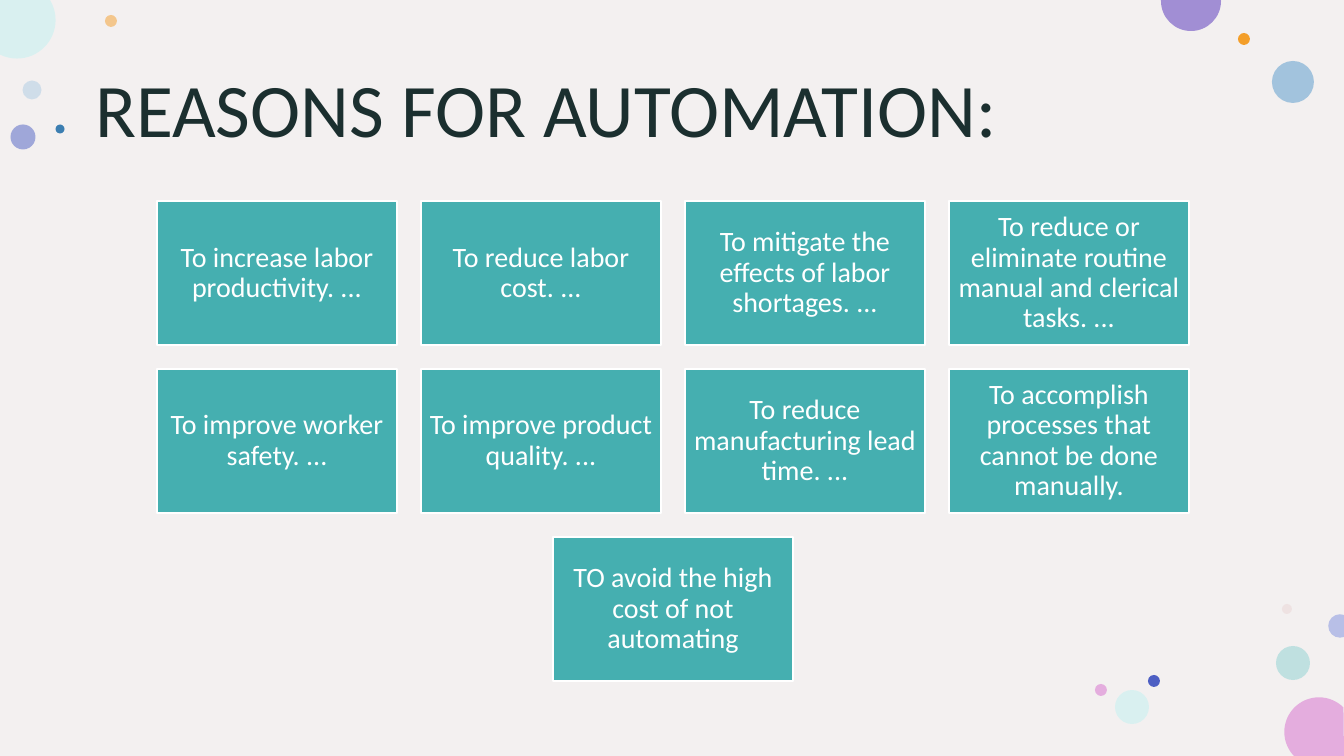
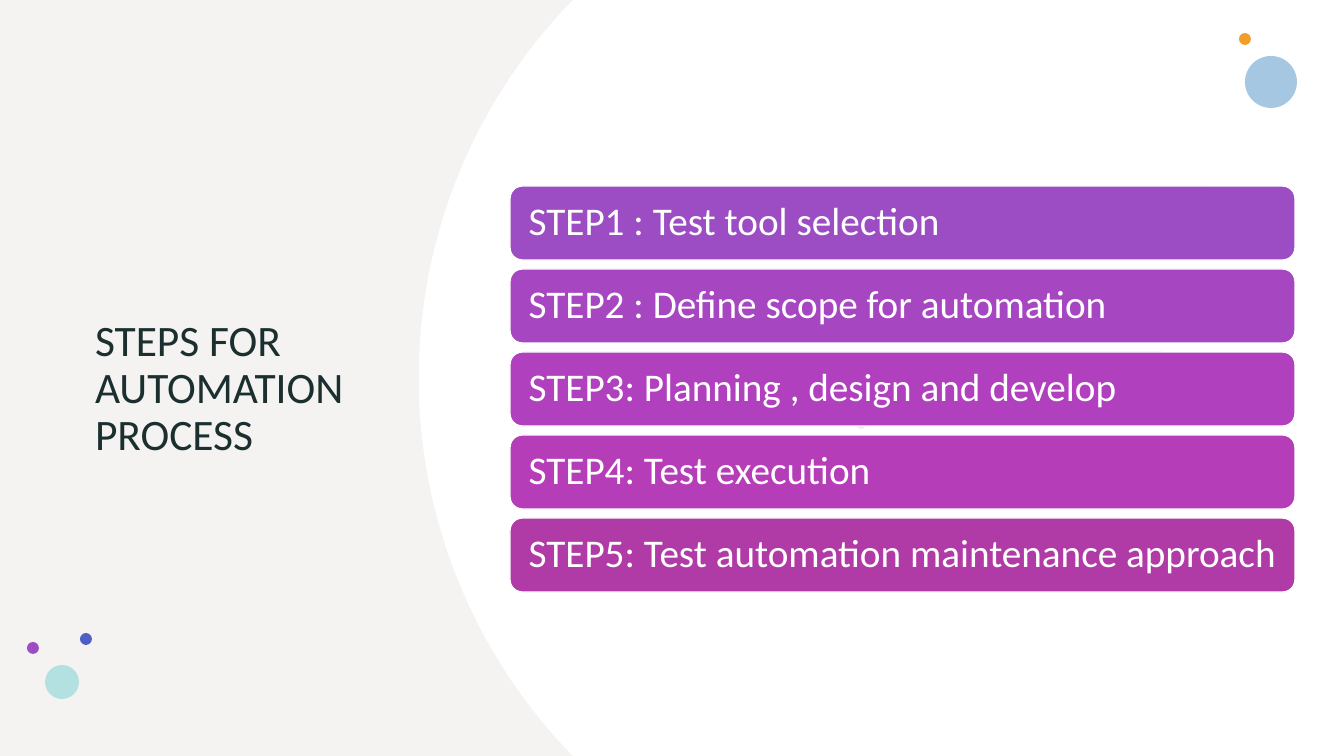
from math import atan2, ceil, cos, hypot, pi, sin, tan

from lxml.etree import SubElement
from pptx import Presentation
from pptx.dml.color import RGBColor
from pptx.enum.shapes import MSO_SHAPE
from pptx.enum.text import MSO_ANCHOR, MSO_AUTO_SIZE, PP_ALIGN
from pptx.oxml.ns import qn
from pptx.util import Emu, Pt

WIDTH, HEIGHT = 1344, 756
EMU_PER_PX = 914400 / 100.8
FONT = "Calibri"

WHITE = RGBColor(0xFF, 0xFF, 0xFF)
INK = RGBColor(0x1B, 0x2F, 0x2F)
SAND = RGBColor(0xF3, 0xF0, 0xF0)
DARK_SAND = RGBColor(0xDE, 0xD5, 0xD5)
TEAL = RGBColor(0x45, 0xAF, 0xB0)
AQUA = RGBColor(0x8D, 0xD2, 0xD2)
LIGHT_AQUA = RGBColor(0xB3, 0xE1, 0xE1)
PALE_AQUA = RGBColor(0xD9, 0xF0, 0xF0)
ORANGE = RGBColor(0xF3, 0x9E, 0x29)
INDIGO = RGBColor(0x4D, 0x5F, 0xC3)
LAVENDER = RGBColor(0xB8, 0xBF, 0xE7)
BLUE = RGBColor(0x3B, 0x7E, 0xB1)
SKY = RGBColor(0x84, 0xB2, 0xD6)
PALE_SKY = RGBColor(0xAD, 0xCC, 0xE4)
ROSE = RGBColor(0xE3, 0xBE, 0xBE)
PINK = RGBColor(0xE4, 0xAD, 0xDE)
LILAC = RGBColor(0xA1, 0x8E, 0xD4)
PURPLE = RGBColor(0x9D, 0x4D, 0xC3)
VIOLET = RGBColor(0xA6, 0x46, 0xC1)
ORCHID = RGBColor(0xB0, 0x40, 0xBE)
MAGENTA = RGBColor(0xB6, 0x3D, 0xB8)
PLUM = RGBColor(0xB1, 0x3B, 0xA6)

REASON_ROWS = [
    ["To increase labor productivity. ...",
     "To reduce labor cost. ...",
     "To mitigate the effects of labor shortages. ...",
     "To reduce or eliminate routine manual and clerical tasks. ..."],
    ["To improve worker safety. ...",
     "To improve product quality. ...",
     "To reduce manufacturing lead time. ...",
     "To accomplish processes that cannot be done manually."],
    ["TO avoid the high cost of not automating"],
]

STEPS = [
    ("STEP1 : Test tool selection", PURPLE),
    ("STEP2 : Define scope for automation", VIOLET),
    ("STEP3: Planning , design and develop", ORCHID),
    ("STEP4: Test execution", MAGENTA),
    ("STEP5: Test automation maintenance approach", PLUM),
]

# Centre x, centre y, diameter, colour, opacity in percent
REASON_BUBBLES = [
    (32, 90, 19, PALE_SKY, 50),
    (111, 21, 12, ORANGE, 50),
    (1293, 663, 34, AQUA, 50),
    (23, 137, 25, INDIGO, 50),
    (1293, 82, 42, SKY, 72),
    (1244, 39, 12, ORANGE, 100),
    (1287, 609, 10, ROSE, 28),
    (1154, 681, 12, INDIGO, 100),
    (1132, 707, 34, PALE_AQUA, 100),
    (1101, 690, 12, PINK, 100),
    (60, 129, 9, BLUE, 100),
]
STEP_BUBBLES = [
    (1271, 82, 52, SKY, 72),
    (1245, 39, 12, ORANGE, 100),
    (861, 424, 10, ROSE, 28),
    (86, 639, 12, INDIGO, 100),
    (62, 682, 34, LIGHT_AQUA, 100),
    (33, 648, 12, PURPLE, 100),
]

# Centre, clockwise arc start and end on the slide edge, corners, colour
EDGE_BUBBLES = [
    ((1319, 732), (1294, 756), (1344, 707), [(1344, 756)], PINK),
    ((17, 20), (50, 0), (0, 55), [(0, 0)], PALE_AQUA),
    ((1191, 1), (1221, 0), (1161, 0), [], LILAC),
    ((1340, 626), (1344, 637), (1344, 615), [], LAVENDER),
]
STEP_PANEL = ((959, 378), (573, 756), (573, 0),
              [(1344, 0), (1344, 756)], WHITE)


def px(n):
    return Emu(round(n * EMU_PER_PX))


def paint(sp, color, opacity=100):
    sp.shadow.inherit = False
    sp.line.fill.background()
    sp.fill.solid()
    sp.fill.fore_color.rgb = color
    if opacity < 100:
        rgb = next(sp.element.spPr.iter(qn("a:srgbClr")))
        SubElement(rgb, qn("a:alpha"), val=str(opacity * 1000))


def add_clipped_circle(s, center, start, end, corners, color):
    """Draw a circle cut by the slide edge, with one Bezier per quadrant."""
    cx, cy = center
    radius = hypot(start[0] - cx, start[1] - cy)
    first = atan2(start[1] - cy, start[0] - cx)
    last = atan2(end[1] - cy, end[0] - cx)
    if last < first:
        last += 2 * pi
    quadrants = range(ceil(first * 2 / pi), ceil(last * 2 / pi))
    angles = [first, *(q * pi / 2 for q in quadrants), last]

    def on_arc(angle, bulge=0.0):
        return (cx + radius * (cos(angle) - bulge * sin(angle)),
                cy + radius * (sin(angle) + bulge * cos(angle)))

    nodes = [on_arc(a) for a in angles] + corners
    points = [(px(x), px(y)) for x, y in nodes]
    outline = s.shapes.build_freeform(*points[0])
    outline.add_line_segments(points[1:], close=True)
    sp = outline.convert_to_shape()

    lines = list(sp.element.iter(qn("a:lnTo")))
    for line, a, b in zip(lines, angles, angles[1:]):
        bulge = 4 / 3 * tan((b - a) / 4)
        line.tag = qn("a:cubicBezTo")
        controls = [on_arc(a, bulge), on_arc(b, -bulge)]
        for i, (x, y) in enumerate(controls):
            pt = SubElement(line, qn("a:pt"), x=str(px(x) - sp.left),
                            y=str(px(y) - sp.top))
            line.insert(i, pt)
    paint(sp, color)
    return sp


def add_edge_bubbles(prs, s):
    """Draw the edge bubbles and move them to the slide master."""
    for number, bubble in enumerate(EDGE_BUBBLES, 101):
        element = add_clipped_circle(s, *bubble).element
        element.nvSpPr.cNvPr.set("id", str(number))
        prs.slide_master.shapes.element.append(element)


def add_bubbles(s, bubbles):
    for cx, cy, size, color, opacity in bubbles:
        sp = s.shapes.add_shape(MSO_SHAPE.OVAL, px(cx - size / 2),
                                px(cy - size / 2), px(size), px(size))
        paint(sp, color, opacity)


def add_backdrop(s, color, opacity=100):
    sp = s.shapes.add_shape(MSO_SHAPE.RECTANGLE, 0, 0, px(WIDTH), px(HEIGHT))
    paint(sp, color, opacity)


def write(tf, text, size, color, align):
    tf.word_wrap = True
    tf.auto_size = MSO_AUTO_SIZE.NONE
    tf.vertical_anchor = MSO_ANCHOR.MIDDLE
    p = tf.paragraphs[0]
    p.alignment = align
    p.line_spacing = 0.9
    r = p.add_run()
    r.text = text
    r.font.name = FONT
    r.font.size = Pt(size)
    r.font.color.rgb = color


def add_box(s, kind, box, fill, text, size, align, inset):
    sp = s.shapes.add_shape(kind, *map(px, box))
    paint(sp, fill)
    sp.line.color.rgb = WHITE
    sp.line.width = Pt(1)
    tf = sp.text_frame
    tf.margin_left = tf.margin_right = px(inset)
    tf.margin_top = tf.margin_bottom = px(8)
    write(tf, text, size, WHITE, align)


def add_slide(prs):
    return prs.slides.add_slide(prs.slide_layouts[5])


def add_title(s, text, box, size):
    sp = s.shapes.title
    sp.left, sp.top, sp.width, sp.height = map(px, box)
    write(sp.text_frame, text, size, INK, PP_ALIGN.LEFT)
    s.shapes.element.append(sp.element)


def add_reasons(prs):
    s = add_slide(prs)
    s.background.fill.solid()
    s.background.fill.fore_color.rgb = SAND
    add_edge_bubbles(prs, s)
    add_bubbles(s, REASON_BUBBLES)
    add_title(s, "REASONS FOR AUTOMATION:", (85, 40, 1175, 146), 54)
    width, height, gap = 240, 144, 24
    center, top = 673, 201
    for i, row in enumerate(REASON_ROWS):
        left = center - (len(row) * (width + gap) - gap) / 2
        for j, text in enumerate(row):
            box = (left + j * (width + gap), top + i * (height + gap),
                   width, height)
            add_box(s, MSO_SHAPE.RECTANGLE, box, TEAL, text, 20,
                    PP_ALIGN.CENTER, 8)


def add_steps(prs):
    s = add_slide(prs)
    add_backdrop(s, WHITE)
    add_backdrop(s, DARK_SAND, 30)
    add_clipped_circle(s, *STEP_PANEL)
    add_bubbles(s, STEP_BUBBLES)
    add_title(s, "STEPS FOR AUTOMATION PROCESS", (85, 105, 315, 569), 31)
    left, top, width, height, gap = 510, 186, 785, 74, 9
    for i, (text, color) in enumerate(STEPS):
        box = (left, top + i * (height + gap), width, height)
        add_box(s, MSO_SHAPE.ROUNDED_RECTANGLE, box, color, text, 28,
                PP_ALIGN.LEFT, 15)


def main():
    prs = Presentation()
    prs.slide_width, prs.slide_height = px(WIDTH), px(HEIGHT)
    add_reasons(prs)
    add_steps(prs)
    prs.save("out.pptx")


if __name__ == "__main__":
    main()
